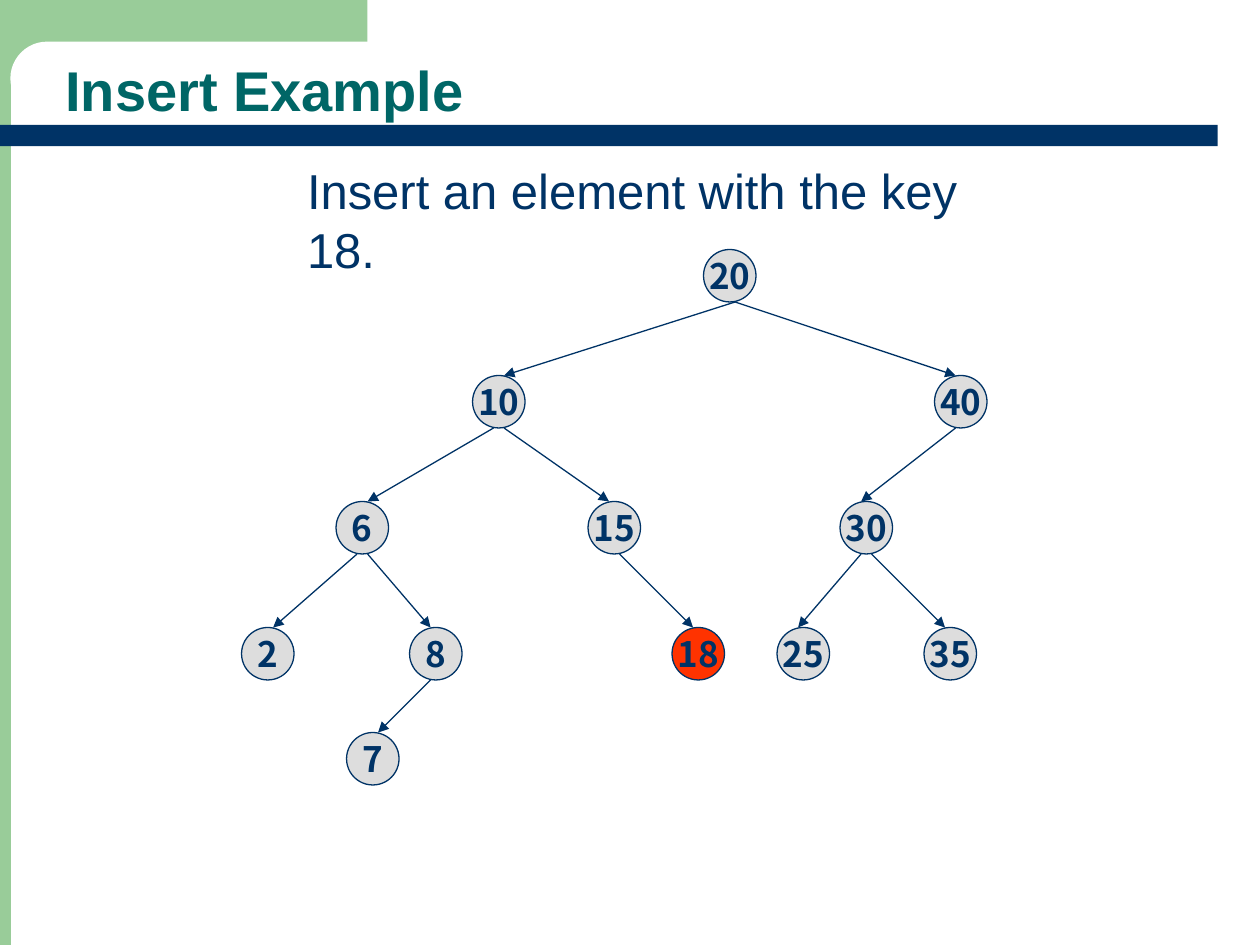
import lxml.etree
import pptx
import pptx.dml.color
import pptx.enum.shapes
import pptx.enum.text
import pptx.oxml.ns
import pptx.util

Cm = pptx.util.Cm
SHAPE = pptx.enum.shapes.MSO_SHAPE
ANCHOR = pptx.enum.text.MSO_ANCHOR
ALIGN = pptx.enum.text.PP_ALIGN

NAVY, TEAL, GREEN = "003366", "006666", "99CC99"
GREY, RED, WHITE = "DDDDDD", "FF3300", "FFFFFF"

UNIT = 2.54 / 12
NODE_SIZE = 5
NODES = {
    "20": (44, 0),
    "10": (22, 12), "40": (66, 12),
    "6": (9, 24), "15": (33, 24), "30": (57, 24),
    "2": (0, 36), "8": (16, 36), "18": (41, 36), "25": (51, 36), "35": (65, 36),
    "7": (10, 46),
}
EDGES = [
    ("20", "10", 3, 3), ("20", "40", 3, 2),
    ("10", "6", 2, 3), ("10", "15", 3, 2), ("40", "30", 2, 2),
    ("6", "2", 2, 3), ("6", "8", 3, 2), ("15", "18", 3, 2),
    ("30", "25", 2, 2), ("30", "35", 3, 2), ("8", "7", 2, 3),
]


def color(value):
    """Turn a hex string into a colour."""
    return pptx.dml.color.RGBColor.from_string(value)


def write(shape, text, size=20, font="Arial", ink=NAVY, bold=False, align=ALIGN.LEFT,
          anchor=ANCHOR.TOP, wrap=False, spacing=1.0):
    """Put one formatted line of text in a shape."""
    frame = shape.text_frame
    frame.word_wrap = wrap
    frame.vertical_anchor = anchor
    para = frame.paragraphs[0]
    para.alignment = align
    para.line_spacing = spacing
    span = para.add_run()
    span.text = text
    span.font.size = pptx.util.Pt(size)
    span.font.name = font
    span.font.bold = bold
    span.font.color.rgb = color(ink)


def add_block(page, kind, box, fill, line=None):
    """Add a flat preset shape in a box given in centimetres."""
    block = page.shapes.add_shape(kind, *map(Cm, box))
    block.shadow.inherit = False
    block.fill.solid()
    block.fill.fore_color.rgb = color(fill)
    if line:
        block.line.color.rgb = color(line)
        block.line.width = pptx.util.Pt(0.75)
    else:
        block.line.fill.background()
    return block


def add_arrow(page, start, end):
    """Add a thin arrow between two points given in centimetres."""
    arrow = page.shapes.add_connector(
        pptx.enum.shapes.MSO_CONNECTOR.STRAIGHT, *map(Cm, start + end))
    arrow.line.color.rgb = color(NAVY)
    arrow.line.width = pptx.util.Pt(0.75)
    qn = pptx.oxml.ns.qn
    lxml.etree.SubElement(arrow.line._get_or_add_ln(), qn("a:tailEnd"), type="triangle")
    lxml.etree.SubElement(arrow._element.spPr, qn("a:effectLst"))


def add_frame(page, width, height):
    """Draw the green corner and the navy rule on a page of the given size."""
    add_block(page, SHAPE.RECTANGLE, (-1.47, 0, 1.69, height), GREEN)
    add_block(page, SHAPE.RECTANGLE, (-0.43, 0, 7.84, 1.48), GREEN)
    corner = add_block(page, SHAPE.ROUNDED_RECTANGLE, (0.21, 0.84, 14.17, 1.48), WHITE)
    corner.adjustments[0] = 0.5
    add_block(page, SHAPE.RECTANGLE, (0, 2.52, width - 0.85, 0.43), NAVY)


def add_heading(page, left, top, width, height):
    """Place the slide title and the task line below it."""
    title = page.shapes.add_textbox(*map(Cm, (left, top, width, height)))
    write(title, "Insert Example", size=32, ink=TEAL, bold=True,
          anchor=ANCHOR.BOTTOM, wrap=True, spacing=0.9)
    task = page.shapes.add_textbox(*map(Cm, (left + 4.87, top + 2.21, 15.24, 1.45)))
    write(task, "Insert an element with the key 18.", size=28)


def add_tree(page, left, top):
    """Draw the search tree with the new key highlighted."""
    def place(column, row):
        return left + column * UNIT, top + row * UNIT

    side = NODE_SIZE * UNIT
    for key, cell in NODES.items():
        fill = RED if key == "18" else GREY
        node = add_block(page, SHAPE.OVAL, place(*cell) + (side, side), fill, NAVY)
        write(node, key, font="Noto Sans CJK KR", bold=True,
              align=ALIGN.CENTER, anchor=ANCHOR.MIDDLE)
    for parent, child, leave, arrive in EDGES:
        column, row = NODES[parent]
        child_column, child_row = NODES[child]
        add_arrow(page, place(column + leave, row + NODE_SIZE),
                  place(child_column + arrive, child_row))


def main():
    """Build the slide and save it."""
    deck = pptx.Presentation()
    width, height = 25.4, 19.05
    deck.slide_width, deck.slide_height = Cm(width), Cm(height)
    page = deck.slides.add_slide(deck.slide_layouts[6])
    add_frame(page, width, height)
    add_heading(page, 1.07, 0.91, 22.23, 1.7)
    add_tree(page, 4.87, 5.03)
    deck.save("out.pptx")


if __name__ == "__main__":
    main()
